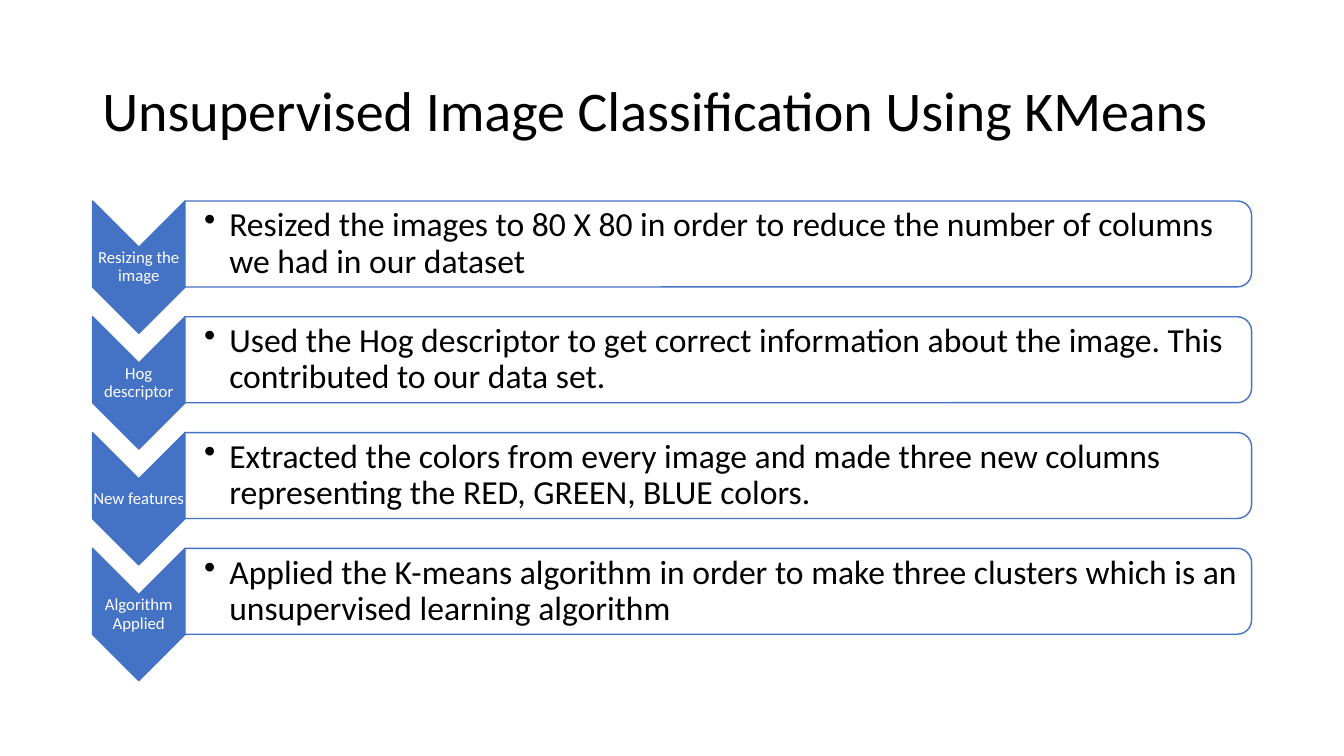
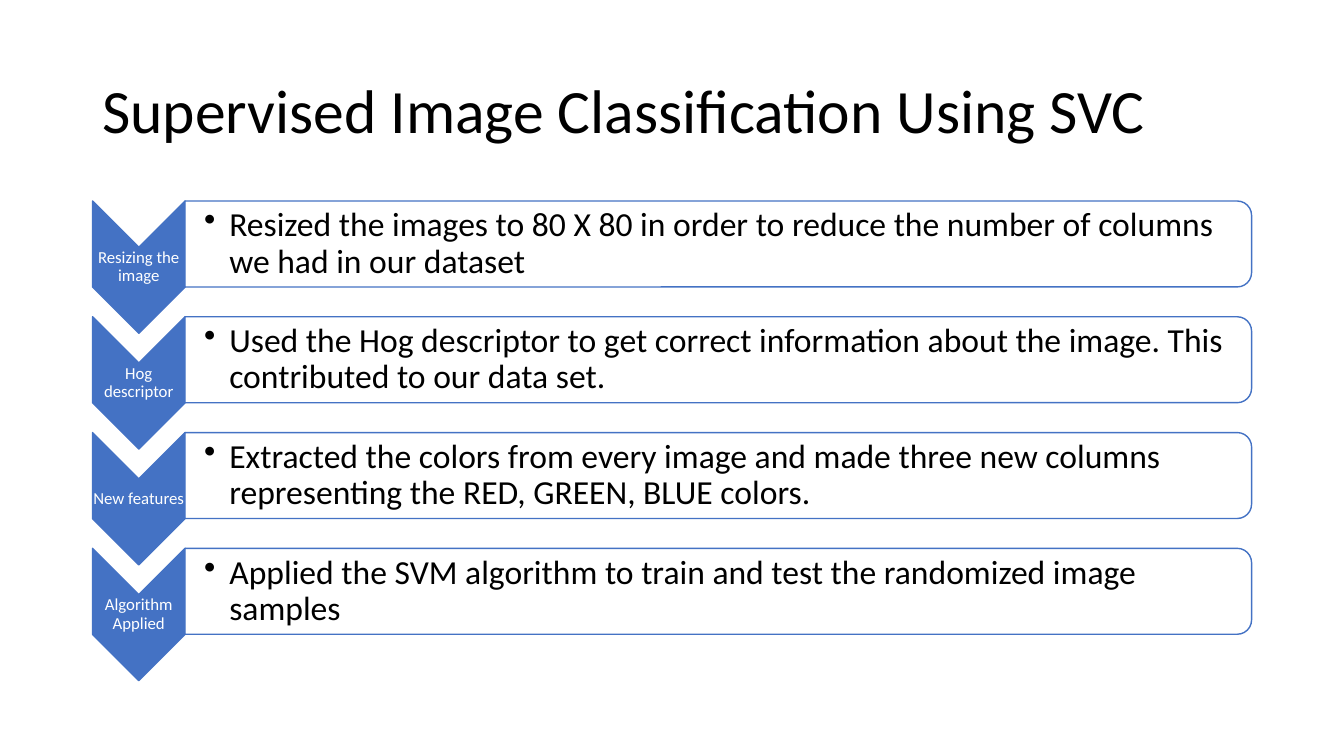
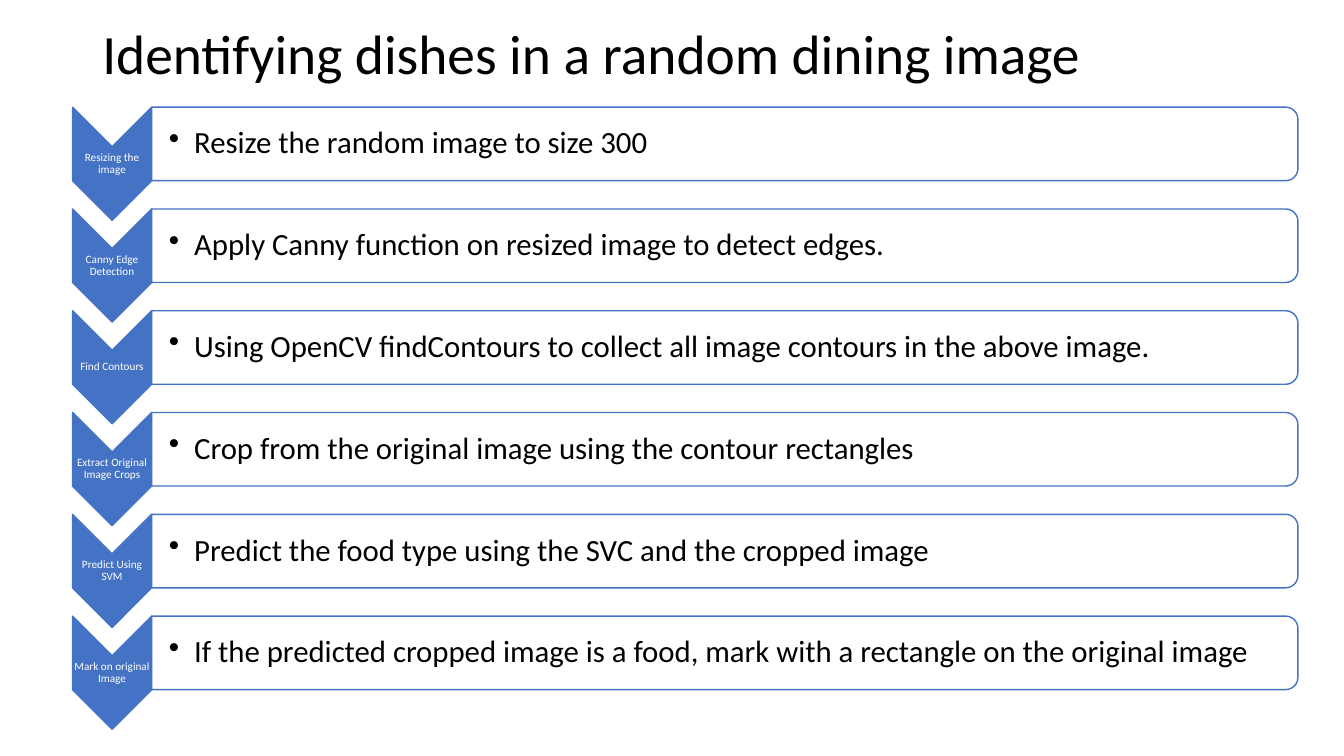
from dataclasses import dataclass

from lxml import etree
from pptx import Presentation
from pptx.dml.color import RGBColor
from pptx.enum.shapes import MSO_SHAPE
from pptx.enum.text import MSO_ANCHOR, PP_ALIGN
from pptx.oxml.ns import qn
from pptx.util import Pt

CHEVRON = MSO_SHAPE.CHEVRON
BAR = MSO_SHAPE.ROUND_2_SAME_RECTANGLE
MIDDLE = MSO_ANCHOR.MIDDLE
LEFT, CENTER = PP_ALIGN.LEFT, PP_ALIGN.CENTER


@dataclass(frozen=True)
class Theme:
    font: str = "Calibri"
    accent: RGBColor = RGBColor(0x44, 0x72, 0xC4)
    text: RGBColor = RGBColor(0, 0, 0)
    white: RGBColor = RGBColor(255, 255, 255)
    line_width: float = 1
    line_spacing: float = 0.9
    bar_alpha: int = 90
    bullet_indent: float = 18
    title_insets: tuple = (7.2, 3.6)


THEME = Theme()


@dataclass(frozen=True)
class StepLayout:
    """Sizes of a list of steps, in points."""
    left: float
    top: float
    pitch: float
    chevron_w: float
    chevron_h: float
    bar_w: float
    bar_h: float
    bar_inset: float
    label_size: float
    body_size: float


FOUR_STEPS = StepLayout(66.1, 143.6, 82.7, 66.1, 94.5, 761.8, 61.4, 13.6, 12, 24)
SIX_STEPS = StepLayout(51.8, 76.6, 72.7, 56.5, 80.8, 818.8, 52.5, 12.4, 8, 22)

# Content
SHARED_STEPS = [
    ("Resizing the image",
     "Resized the images to 80 X 80 in order to reduce the number of columns "
     "we had in our dataset"),
    ("Hog descriptor",
     "Used the Hog descriptor to get correct information about the image. "
     "This contributed to our data set."),
    ("New features",
     "Extracted the colors from every image and made three new columns "
     "representing the RED, GREEN, BLUE colors."),
]
KMEANS_STEP = (
    "Algorithm Applied",
    "Applied the K-means algorithm in order to make three clusters which is an "
    "unsupervised learning algorithm")
SVM_STEP = (
    "Algorithm Applied",
    "Applied the SVM algorithm to train and test the randomized image samples")
DISH_STEPS = [
    ("Resizing the image", "Resize the random image to size 300"),
    ("Canny Edge Detection",
     "Apply Canny function on resized image to detect edges."),
    ("Find Contours",
     "Using OpenCV findContours to collect all image contours in the above image."),
    ("Extract Original Image Crops",
     "Crop from the original image using the contour rectangles"),
    ("Predict Using SVM",
     "Predict the food type using the SVC and the cropped image"),
    ("Mark on original Image",
     "If the predicted cropped image is a food, mark with a rectangle on the "
     "original image"),
]


# Elements
def add_text(slide, box, text, size, color=THEME.text, align=LEFT,
             insets=(0.6, 0.6, 0.6, 0.6)):
    tf = slide.shapes.add_textbox(*map(Pt, box)).text_frame
    tf.word_wrap = True
    tf.vertical_anchor = MIDDLE
    tf.margin_left, tf.margin_top, tf.margin_right, tf.margin_bottom = map(Pt, insets)
    p = tf.paragraphs[0]
    p.text = text
    p.alignment = align
    p.line_spacing = THEME.line_spacing
    p.font.name = THEME.font
    p.font.size = Pt(size)
    p.font.color.rgb = color
    return p


def add_bullet(p):
    pPr = p._p.get_or_add_pPr()
    indent = Pt(THEME.bullet_indent)
    pPr.set("marL", str(indent))
    pPr.set("indent", str(-indent))
    bullet = etree.Element(qn("a:buChar"), char="•")
    pPr.insert_element_before(bullet, "a:tabLst", "a:defRPr", "a:extLst")


def add_turned_shape(slide, kind, box, fill):
    """Add a shape turned by 90 degrees that covers the given box."""
    x, y, w, h = box
    shift = (w - h) / 2
    sp = slide.shapes.add_shape(kind, Pt(x + shift), Pt(y - shift), Pt(h), Pt(w))
    sp.rotation = 90
    sp.shadow.inherit = False
    sp.fill.solid()
    sp.fill.fore_color.rgb = fill
    sp.line.color.rgb = THEME.accent
    sp.line.width = Pt(THEME.line_width)
    return sp


def set_alpha(sp, percent):
    color = sp._element.spPr.find(qn("a:solidFill"))[0]
    etree.SubElement(color, qn("a:alpha"), val=str(percent * 1000))


def add_title(slide, text, size, top, height):
    add_text(slide, (66, top, 828, height), text, size,
             insets=THEME.title_insets * 2)


def add_step(slide, layout, top, label, body):
    # Chevron and its label, placed between notch and tip
    w, h = layout.chevron_w, layout.chevron_h
    add_turned_shape(slide, CHEVRON, (layout.left, top, w, h), THEME.accent)
    add_text(slide, (layout.left, top + w / 2, w, h - w), label,
             layout.label_size, THEME.white, CENTER)

    # Bar and its bullet
    bar = (layout.left + w, top, layout.bar_w, layout.bar_h)
    set_alpha(add_turned_shape(slide, BAR, bar, THEME.white), THEME.bar_alpha)
    p = add_text(slide, bar, body, layout.body_size,
                 insets=(layout.bar_inset, 1.2, 4.2, 1.2))
    add_bullet(p)


def add_steps(slide, layout, steps):
    for i, (label, body) in enumerate(steps):
        add_step(slide, layout, layout.top + i * layout.pitch, label, body)


def main():
    prs = Presentation()
    prs.slide_width, prs.slide_height = Pt(960), Pt(540)
    blank = prs.slide_layouts[6]

    # Title, title size, title top, title height, layout, steps
    slides = [
        ("Unsupervised Image Classification Using KMeans", 40, 28.8, 104.4,
         FOUR_STEPS, SHARED_STEPS + [KMEANS_STEP]),
        ("Supervised Image Classification Using SVC", 44, 28.8, 104.4,
         FOUR_STEPS, SHARED_STEPS + [SVM_STEP]),
        ("Identifying dishes in a random dining image", 39.6, 13, 54.7,
         SIX_STEPS, DISH_STEPS),
    ]
    for title, size, top, height, layout, steps in slides:
        slide = prs.slides.add_slide(blank)
        add_title(slide, title, size, top, height)
        add_steps(slide, layout, steps)

    prs.save("out.pptx")


main()
